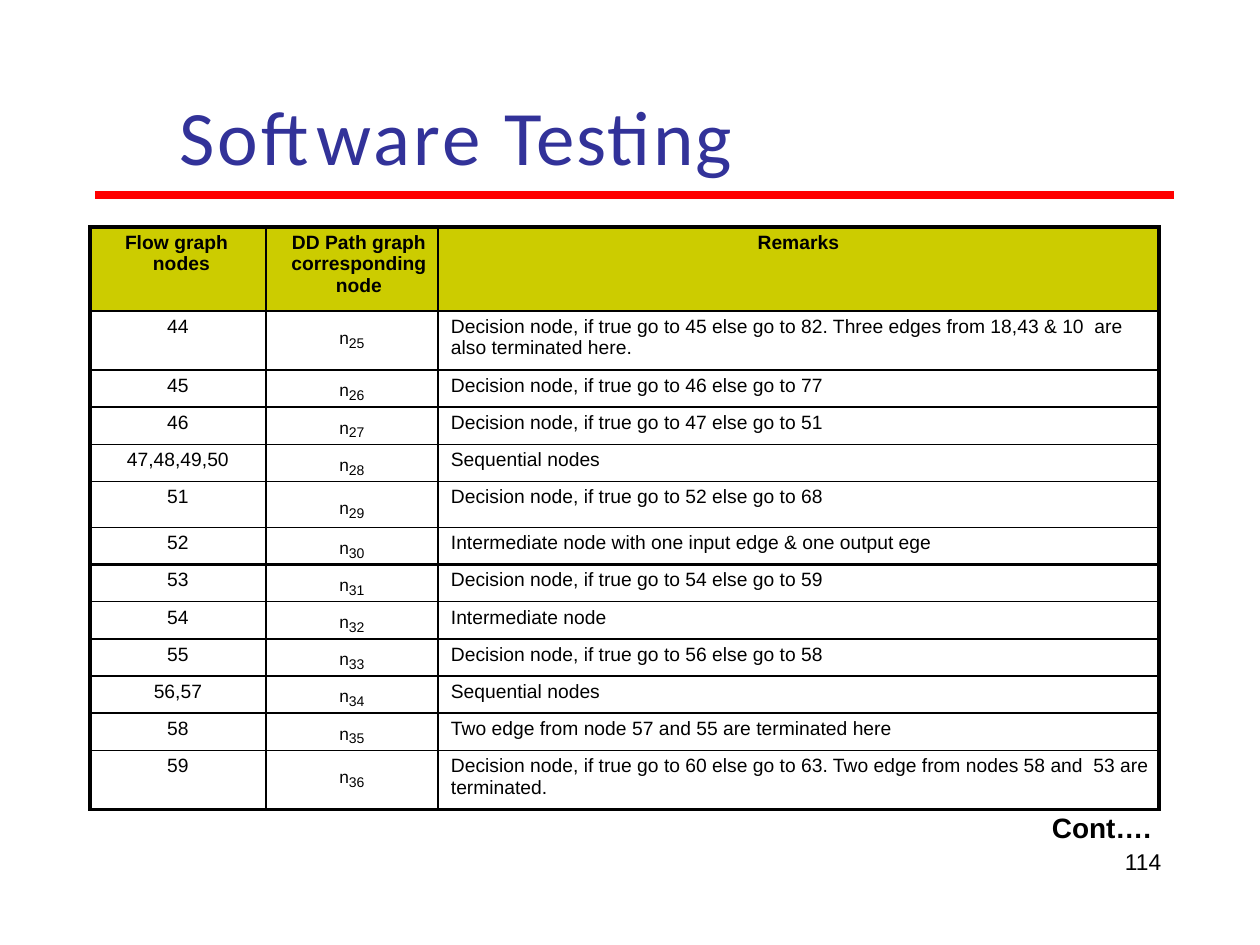
"""Build the Software Testing slide with its table of graph nodes."""
import dataclasses

import lxml.etree
import pptx
import pptx.dml.color
import pptx.enum.shapes
import pptx.enum.text
import pptx.oxml.ns
import pptx.util

ALIGN = pptx.enum.text.PP_ALIGN


@dataclasses.dataclass(frozen=True)
class Theme:
    """Hold colours, fonts, type sizes and line widths."""
    blue: str = "323299"
    red: str = "FF0000"
    gold: str = "CCCC00"
    black: str = "000000"
    head: str = "Calibri"
    text: str = "Arial"
    title: int = 44
    cell: int = 11
    node: int = 17
    sub: int = 8
    cont: int = 16
    page: int = 13
    thin: float = 1
    thick: float = 2.25
    rule: float = 4.5


THEME = Theme()
COLS = [176, 172, 721]
HEAD = ["Flow graph nodes", "DD Path graph corresponding node", "Remarks"]
ROWS = [
    ("44", 59, "Decision node, if true go to 45 else go to 82. Three edges "
               "from 18,43 & 10  are also terminated here."),
    ("45", 37, "Decision node, if true go to 46 else go to 77"),
    ("46", 36, "Decision node, if true go to 47 else go to 51"),
    ("47,48,49,50", 37, "Sequential nodes"),
    ("51", 46, "Decision node, if true go to 52 else go to 68"),
    ("52", 36, "Intermediate node with one input edge & one output ege"),
    ("53", 37, "Decision node, if true go to 54 else go to 59"),
    ("54", 36, "Intermediate node"),
    ("55", 37, "Decision node, if true go to 56 else go to 58"),
    ("56,57", 37, "Sequential nodes"),
    ("58", 37, "Two edge from node 57 and 55 are terminated here"),
    ("59", 59, "Decision node, if true go to 60 else go to 63. Two edge "
               "from nodes 58 and  53 are terminated."),
]


def px(num):
    """Turn pixels into EMU."""
    return pptx.util.Emu(round(num * 914400 / 126))


def rgb(code):
    """Turn a hex code into a colour."""
    return pptx.dml.color.RGBColor.from_string(code)


def style(run, size, bold=False, face=THEME.text, tint=THEME.black):
    """Format one run."""
    font = run.font
    font.name, font.size, font.bold = face, pptx.util.Pt(size), bold
    font.color.rgb = rgb(tint)


def indent(para, left, first=0):
    """Set the left margin and first line indent of a paragraph."""
    prop = para._p.get_or_add_pPr()
    prop.set("marL", str(px(left)))
    prop.set("indent", str(px(first)))


def pad(item, left=0, top=0):
    """Set the inner margins of a cell or text frame."""
    item.margin_left, item.margin_top = px(left), px(top)
    item.margin_right = item.margin_bottom = 0


def border(cell, sides):
    """Draw the four cell borders in the given widths."""
    prop = cell._tc.get_or_add_tcPr()
    for spot, (side, width) in enumerate(sides.items()):
        line = lxml.etree.Element(pptx.oxml.ns.qn("a:ln" + side),
                                  w=str(pptx.util.Pt(width)))
        fill = lxml.etree.SubElement(line, pptx.oxml.ns.qn("a:solidFill"))
        lxml.etree.SubElement(fill, pptx.oxml.ns.qn("a:srgbClr"),
                              val=THEME.black)
        prop.insert(spot, line)


def add_title(slide, left, top, wide, high):
    """Place the title and the red rule below it."""
    title = slide.shapes.title
    title.left, title.top = px(left), px(top)
    title.width, title.height = px(wide), px(high)
    frame = title.text_frame
    pad(frame, 0, 1)
    frame.vertical_anchor = pptx.enum.text.MSO_ANCHOR.MIDDLE
    para = frame.paragraphs[0]
    para.alignment = ALIGN.CENTER
    for word, gap in (("Software ", 170), ("Testing", 90)):
        run = para.add_run()
        run.text = word
        style(run, THEME.title, False, THEME.head, THEME.blue)
        run.font._element.set("spc", str(gap))
    base = px(top + 108)
    rule = slide.shapes.add_connector(
        pptx.enum.shapes.MSO_CONNECTOR.STRAIGHT,
        px(left + 7), base, px(left + 1086), base)
    rule.line.color.rgb = rgb(THEME.red)
    rule.line.width = pptx.util.Pt(THEME.rule)
    lxml.etree.SubElement(rule._element.spPr, pptx.oxml.ns.qn("a:effectLst"))


def fill_node(para, index, high):
    """Write a node name with its lowered index."""
    para.alignment = ALIGN.CENTER
    if high < 40:
        para.line_spacing = pptx.util.Pt(15.5)
    for word, size in (("n", THEME.node), (str(index), THEME.sub)):
        run = para.add_run()
        run.text = word
        style(run, size)
    para.runs[0].font._element.set("baseline", "13000")


def fill_text(para, text, bold, align):
    """Write plain cell text."""
    para.text = text
    para.alignment = align
    style(para.runs[0], THEME.cell, bold)


def add_grid(slide, left, top):
    """Place the table of nodes and remarks."""
    highs = [84] + [high for _, high, _ in ROWS]
    grid = slide.shapes.add_table(len(highs), len(COLS), px(left), px(top),
                                  px(sum(COLS)), px(sum(highs))).table
    grid.first_row = grid.horz_banding = False
    for col, wide in zip(grid.columns, COLS):
        col.width = px(wide)
    edges = {0, 7, len(highs)}
    for row, high in enumerate(highs):
        grid.rows[row].height = px(high)
        words = HEAD if row == 0 else (ROWS[row - 1][0], "", ROWS[row - 1][2])
        for col, text in enumerate(words):
            cell = grid.cell(row, col)
            para = cell.text_frame.paragraphs[0]
            pad(cell, 13 if row and col == 2 else 0, 10 if row and col == 1 else 5)
            if row and col == 1:
                fill_node(para, row + 24, high)
            else:
                plain = col == 2 and row or col == row == 0
                fill_text(para, text, row == 0,
                          ALIGN.LEFT if plain else ALIGN.CENTER)
            if row == 0:
                cell.fill.solid()
                cell.fill.fore_color.rgb = rgb(THEME.gold)
            else:
                cell.fill.background()
            heavy = {"L": col == 0, "R": col == len(COLS) - 1,
                     "T": row in edges, "B": row + 1 in edges}
            border(cell, {side: THEME.thick if on else THEME.thin
                          for side, on in heavy.items()})
    indent(grid.cell(0, 0).text_frame.paragraphs[0], 63, -28)
    indent(grid.cell(0, 1).text_frame.paragraphs[0], 14)


def add_foot(slide, left, top, wide, high):
    """Place the continuation mark and page number."""
    box = slide.shapes.add_textbox(px(left), px(top), px(wide), px(high))
    frame = box.text_frame
    frame.word_wrap = True
    pad(frame)
    frame.text = "Cont….\n114"
    cont, page = frame.paragraphs
    cont.line_spacing = pptx.util.Pt(16.6)
    page.space_before = pptx.util.Pt(2.1)
    indent(cont, 1)
    indent(page, 74)
    style(cont.runs[0], THEME.cont, True)
    style(page.runs[0], THEME.page)


def main():
    """Build and save the slide."""
    deck = pptx.Presentation()
    deck.slide_width, deck.slide_height = px(1260), px(945)
    slide = deck.slides.add_slide(deck.slide_layouts[5])
    add_title(slide, 88, 87, 736, 95)
    add_grid(slide, 90, 227)
    add_foot(slide, 1051, 815, 116, 62)
    deck.save("out.pptx")


if __name__ == "__main__":
    main()
